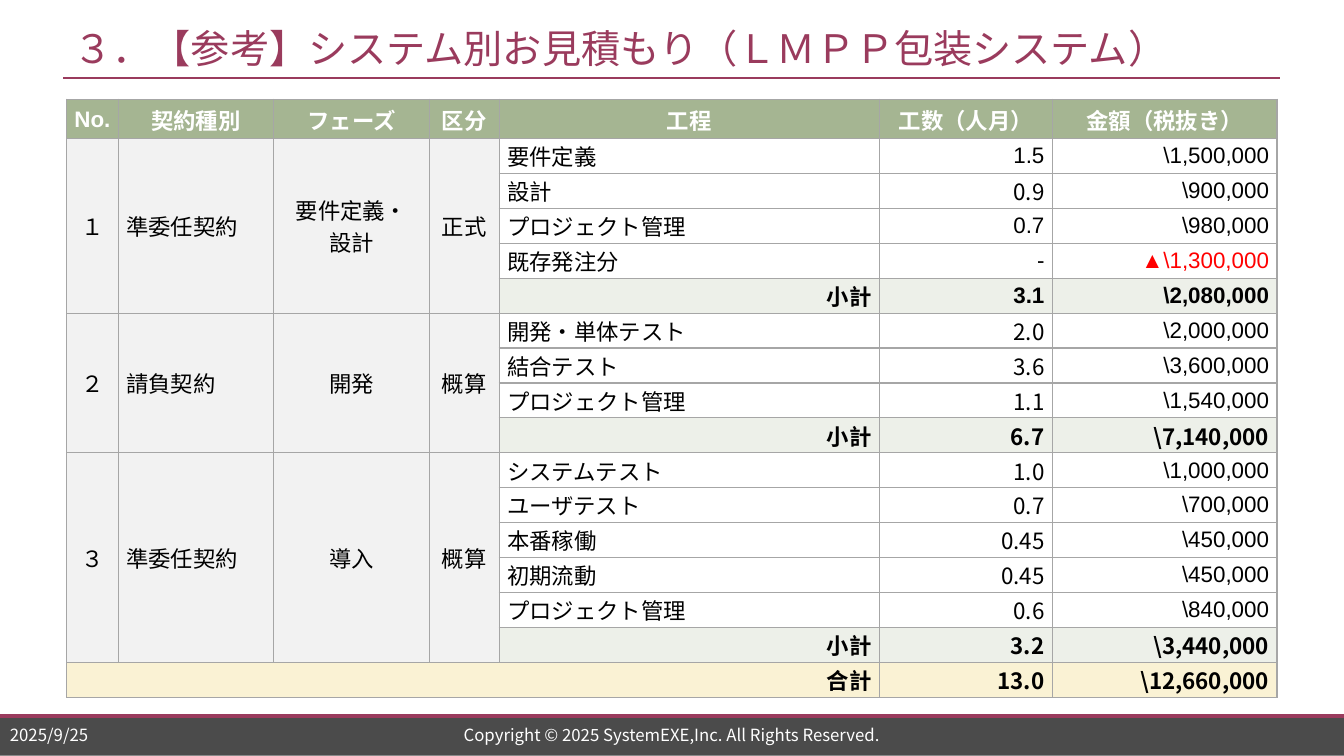
"""Build the estimate slide with its table of phases, effort and amounts."""
import pptx
import pptx.dml.color
import pptx.enum.shapes
import pptx.enum.text
import pptx.oxml
import pptx.oxml.ns
import pptx.util
from pptx.util import Cm

ALIGN = pptx.enum.text.PP_ALIGN
MIDDLE = pptx.enum.text.MSO_ANCHOR.MIDDLE
SANS = "Noto Sans CJK JP"
ARIAL = "Arial"


def color(value):
    return pptx.dml.color.RGBColor.from_string(value)


def write(frame, text, size, font_name, font_color, alignment, bold=False):
    frame.text = text
    for paragraph in frame.paragraphs:
        paragraph.alignment = alignment
        font = paragraph.font
        font.size = pptx.util.Pt(size)
        font.bold = bold
        font.name = font_name
        font.color.rgb = color(font_color)
        properties = paragraph._p.xpath("a:pPr/a:defRPr")[0]
        properties.append(pptx.oxml.parse_xml(
            f'<a:ea {pptx.oxml.ns.nsdecls("a")} typeface="{SANS}"/>'))


presentation = pptx.Presentation()
presentation.slide_width = Cm(33.87)
presentation.slide_height = Cm(19.05)
slide = presentation.slides.add_slide(presentation.slide_layouts[5])

footer_bar = slide.shapes.add_shape(
    pptx.enum.shapes.MSO_SHAPE.RECTANGLE, Cm(0), Cm(18.04), Cm(33.87), Cm(1))
footer_bar.shadow.inherit = False
footer_bar.fill.solid()
footer_bar.fill.fore_color.rgb = color("4B4B4B")
footer_bar.line.fill.background()

for left, right, top, width in [(0, 33.87, 18.05, 2.75), (1.6, 32.26, 1.97, 1.5)]:
    rule = slide.shapes.add_connector(
        pptx.enum.shapes.MSO_CONNECTOR.STRAIGHT, Cm(left), Cm(top), Cm(right), Cm(top))
    rule.line.color.rgb = color("9A3B5D")
    rule.line.width = pptx.util.Pt(width)
    rule._element.spPr.append(pptx.oxml.parse_xml(
        f'<a:effectLst {pptx.oxml.ns.nsdecls("a")}/>'))

title = slide.shapes.title
title.left, title.top, title.width, title.height = Cm(1.6), Cm(0.5), Cm(30.66), Cm(1.4)
title.text_frame.word_wrap = False
title.text_frame.auto_size = pptx.enum.text.MSO_AUTO_SIZE.NONE
title.text_frame.vertical_anchor = MIDDLE
write(title.text_frame, "３．【参考】システム別お見積もり（ＬＭＰＰ包装システム）",
      28, SANS, "9A3B5D", ALIGN.LEFT)

for text, left, width, alignment in [
    ("Copyright © 2025 SystemEXE,Inc. All Rights Reserved.", 8.43, 17, ALIGN.CENTER),
    ("2025/9/25", 0, 4, ALIGN.LEFT),
]:
    box = slide.shapes.add_textbox(Cm(left), Cm(18.2), Cm(width), Cm(0.62))
    frame = box.text_frame
    frame.word_wrap = True
    frame.margin_top = frame.margin_bottom = 0
    frame.vertical_anchor = MIDDLE
    write(frame, text, 12, SANS, "FFFFFF", alignment)

headers = ["No.", "契約種別", "フェーズ", "区分", "工程", "工数（人月）", "金額（税抜き）"]
phases = [
    (["１", "準委任契約", "要件定義・\n設計", "正式"], [
        ("要件定義", "1.5", ARIAL, "\\1,500,000", ARIAL),
        ("設計", "0.9", SANS, "\\900,000", ARIAL),
        ("プロジェクト管理", "0.7", ARIAL, "\\980,000", ARIAL),
        ("既存発注分", "-", ARIAL, "▲\\1,300,000", ARIAL),
        ("小計", "3.1", ARIAL, "\\2,080,000", ARIAL)]),
    (["２", "請負契約", "開発", "概算"], [
        ("開発・単体テスト", "2.0", SANS, "\\2,000,000", ARIAL),
        ("結合テスト", "3.6", SANS, "\\3,600,000", ARIAL),
        ("プロジェクト管理", "1.1", SANS, "\\1,540,000", ARIAL),
        ("小計", "6.7", SANS, "\\7,140,000", SANS)]),
    (["３", "準委任契約", "導入", "概算"], [
        ("システムテスト", "1.0", SANS, "\\1,000,000", ARIAL),
        ("ユーザテスト", "0.7", SANS, "\\700,000", ARIAL),
        ("本番稼働", "0.45", SANS, "\\450,000", ARIAL),
        ("初期流動", "0.45", SANS, "\\450,000", ARIAL),
        ("プロジェクト管理", "0.6", SANS, "\\840,000", ARIAL),
        ("小計", "3.2", SANS, "\\3,440,000", SANS)]),
]
total = ("合計", "13.0", SANS, "\\12,660,000", SANS)
steps = [step for _, phase_steps in phases for step in phase_steps] + [total]

table = slide.shapes.add_table(
    len(steps) + 1, len(headers), Cm(1.68), Cm(2.5), Cm(30.5), Cm(15.07)).table
table.horz_banding = False
for column, width in zip(table.columns, [1.3, 3.92, 3.92, 1.76, 9.58, 4.36, 5.66]):
    column.width = Cm(width)
for row in table.rows:
    row.height = Cm(0.88)
table.rows[0].height = Cm(0.99)

for cell in table.iter_cells():
    cell.vertical_anchor = MIDDLE
    cell.margin_left = cell.margin_right = Cm(0.2)
    cell.margin_top = cell.margin_bottom = 0
    for side in ["lnL", "lnR", "lnT", "lnB"]:
        cell._tc.get_or_add_tcPr().append(pptx.oxml.parse_xml(
            f'<a:{side} {pptx.oxml.ns.nsdecls("a")} w="12700"><a:solidFill>'
            f'<a:srgbClr val="A6A6A6"/></a:solidFill></a:{side}>'))
    cell.fill.solid()
    cell.fill.fore_color.rgb = color("FFFFFF")

for column_index, header in enumerate(headers):
    cell = table.cell(0, column_index)
    cell.margin_left = cell.margin_right = cell.margin_top = Cm(0.03)
    cell.fill.fore_color.rgb = color("A5B592")
    write(cell.text_frame, header, 16, ARIAL, "FFFFFF", ALIGN.CENTER, True)

first_row = 1
for labels, phase_steps in phases:
    last_row = first_row + len(phase_steps) - 1
    for column_index, label in enumerate(labels):
        cell = table.cell(first_row, column_index)
        cell.merge(table.cell(last_row, column_index))
        cell.fill.fore_color.rgb = color("F2F2F2")
        alignment = ALIGN.LEFT if column_index == 1 else ALIGN.CENTER
        write(cell.text_frame, label, 16, ARIAL, "000000", alignment)
    first_row = last_row + 1

sum_fills = {"小計": "EDF0E9", "合計": "FAF2D4"}
for row_index, (name, effort, effort_font, amount, amount_font) in enumerate(steps, 1):
    is_sum = name in sum_fills
    name_column = 4
    if name == "合計":
        name_column = 0
        table.cell(row_index, 0).merge(table.cell(row_index, 4))
    for column_index, text, font_name, alignment in [
        (name_column, name, ARIAL, ALIGN.RIGHT if is_sum else ALIGN.LEFT),
        (5, effort, effort_font, ALIGN.RIGHT),
        (6, amount, amount_font, ALIGN.RIGHT),
    ]:
        cell = table.cell(row_index, column_index)
        cell.fill.fore_color.rgb = color(sum_fills.get(name, "FFFFFF"))
        font_color = "FF0000" if text.startswith("▲") else "000000"
        write(cell.text_frame, text, 16, font_name, font_color, alignment, is_sum)

presentation.save("out.pptx")
